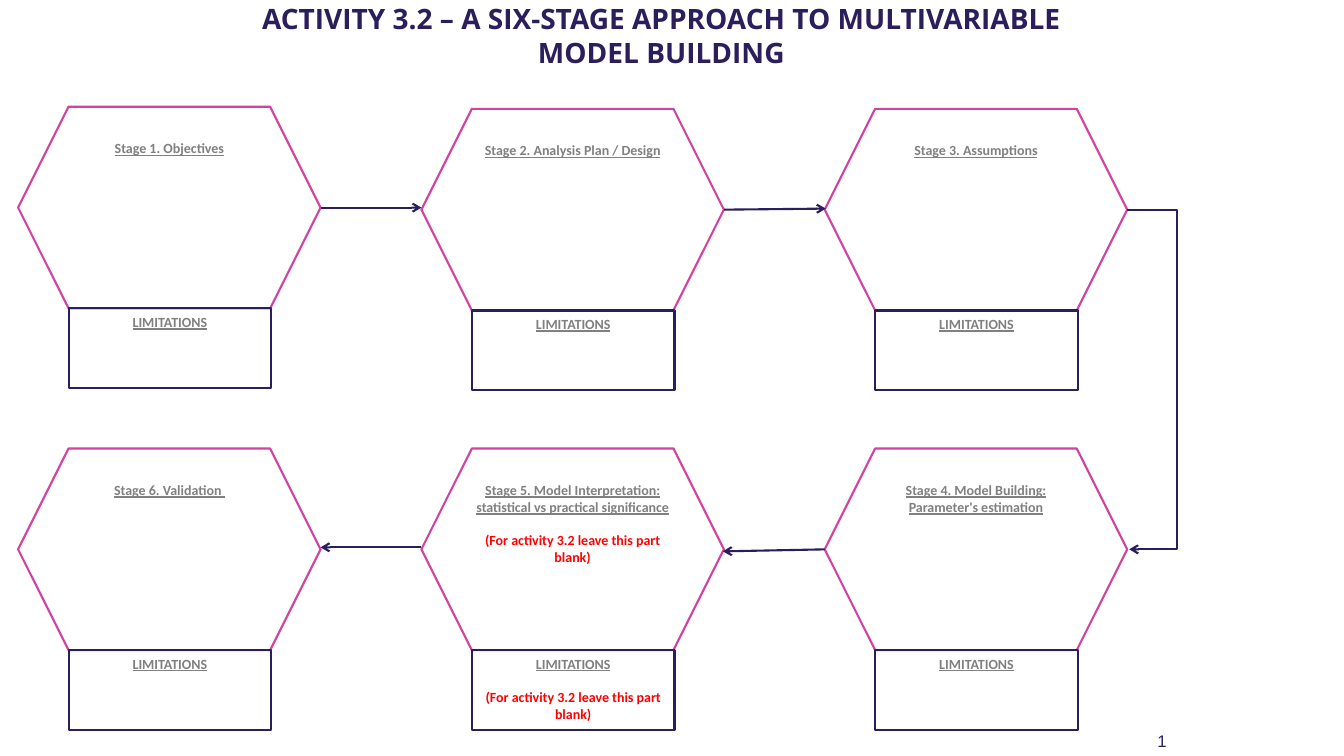
"""Build the six-stage multivariable model building slide."""
from dataclasses import dataclass

from lxml import etree
from pptx import Presentation
from pptx import util as u
from pptx.dml.color import RGBColor
from pptx.enum import shapes, text
from pptx.oxml.ns import qn

EMU_PER_PX = 9144


@dataclass(frozen=True)
class Theme:
    navy: RGBColor = RGBColor(0x2B, 0x1E, 0x5C)
    pink: RGBColor = RGBColor(0xD1, 0x42, 0xA2)
    grey: RGBColor = RGBColor(0x80, 0x80, 0x80)
    red: RGBColor = RGBColor(0xFF, 0x00, 0x00)
    title_font: str = "Open Sans"
    body_font: str = "Calibri"
    number_font: str = "Arial"
    title_size: int = 20
    body_size: int = 10
    number_size: int = 12
    note_gap: int = 12
    line_width: float = 1.5


@dataclass(frozen=True)
class Box:
    left: int
    top: int
    width: int
    height: int


@dataclass(frozen=True)
class Stage:
    heading: str
    left: int
    top: int
    note: str = ""


@dataclass(frozen=True)
class Arrow:
    start: tuple[int, int]
    end: tuple[int, int]
    bend_x: int | None = None


THEME = Theme()
HEXAGON_WIDTH, HEXAGON_HEIGHT = 300, 200
LIMITS_INDENT, LIMITS_WIDTH, LIMITS_HEIGHT = 50, 201, 79
COLUMNS = (18, 418, 818)
LOWER_ROW = 445
BLANK_NOTE = "(For activity 3.2 leave this part blank)"

STAGES = (
    Stage("Stage 1. Objectives", COLUMNS[0], 106),
    Stage("Stage 2. Analysis Plan / Design", COLUMNS[1], 108),
    Stage("Stage 3. Assumptions", COLUMNS[2], 108),
    Stage("Stage 4. Model Building: Parameter's estimation", COLUMNS[2], LOWER_ROW),
    Stage("Stage 5. Model Interpretation: statistical vs practical significance",
          COLUMNS[1], LOWER_ROW, BLANK_NOTE),
    Stage("Stage 6. Validation ", COLUMNS[0], LOWER_ROW),
)
ARROWS = (
    Arrow((318, 206), (418, 206)),
    Arrow((718, 208), (819, 207)),
    Arrow((1118, 208), (1120, 545), bend_x=1167),
    Arrow((818, 545), (717, 547)),
    Arrow((418, 543), (318, 543)),
)


def px(length: int) -> u.Emu:
    """Turn px into EMU."""
    return u.Emu(length * EMU_PER_PX)


def style_font(font, name: str, size: int, color: RGBColor, bold: bool = False) -> None:
    """Set typeface, size, colour and weight."""
    font.name = name
    font.size = u.Pt(size)
    font.color.rgb = color
    font.bold = bold


def add_label(slide, box: Box, content: str, alignment, margins: tuple[int, int]):
    """Add a wrapped, vertically centred text box and return its paragraph."""
    shape = slide.shapes.add_textbox(px(box.left), px(box.top), px(box.width), px(box.height))
    frame = shape.text_frame
    frame.word_wrap = True
    frame.vertical_anchor = text.MSO_ANCHOR.MIDDLE
    frame.margin_left = frame.margin_right = px(margins[0])
    frame.margin_top = frame.margin_bottom = px(margins[1])
    paragraph = frame.paragraphs[0]
    paragraph.text = content
    paragraph.alignment = alignment
    return paragraph


def add_panel(slide, kind, box: Box, color: RGBColor, heading: str, note: str) -> None:
    """Add an outlined shape with an underlined heading and an optional red note."""
    shape = slide.shapes.add_shape(kind, px(box.left), px(box.top), px(box.width), px(box.height))
    shape.shadow.inherit = False
    shape.fill.background()
    shape.line.color.rgb = color
    shape.line.width = u.Pt(THEME.line_width)
    frame = shape.text_frame
    frame.word_wrap = True
    frame.vertical_anchor = text.MSO_ANCHOR.TOP
    paragraph = frame.paragraphs[0]
    paragraph.text = heading
    paragraph.alignment = text.PP_ALIGN.CENTER
    style_font(paragraph.font, THEME.body_font, THEME.body_size, THEME.grey, bold=True)
    paragraph.font.underline = True
    if note:
        paragraph = frame.add_paragraph()
        paragraph.text = note
        paragraph.alignment = text.PP_ALIGN.CENTER
        paragraph.space_before = u.Pt(THEME.note_gap)
        style_font(paragraph.font, THEME.body_font, THEME.body_size, THEME.red, bold=True)


def add_stage(slide, stage: Stage) -> None:
    """Add a stage hexagon with its limitations box underneath."""
    hexagon = Box(stage.left, stage.top, HEXAGON_WIDTH, HEXAGON_HEIGHT)
    limits = Box(stage.left + LIMITS_INDENT, stage.top + HEXAGON_HEIGHT,
                 LIMITS_WIDTH, LIMITS_HEIGHT)
    add_panel(slide, shapes.MSO_SHAPE.HEXAGON, hexagon, THEME.pink, stage.heading, stage.note)
    add_panel(slide, shapes.MSO_SHAPE.RECTANGLE, limits, THEME.navy, "LIMITATIONS", stage.note)


def add_arrow(slide, arrow: Arrow) -> None:
    """Add a straight or elbow connector with an open arrowhead at its end."""
    bent = arrow.bend_x is not None
    kind = shapes.MSO_CONNECTOR.ELBOW if bent else shapes.MSO_CONNECTOR.STRAIGHT
    connector = slide.shapes.add_connector(
        kind, *(px(value) for value in arrow.start + arrow.end))
    connector.line.color.rgb = THEME.navy
    connector.line.width = u.Pt(THEME.line_width)
    properties = connector.element.spPr
    etree.SubElement(connector.line._get_or_add_ln(), qn("a:tailEnd"), type="arrow")
    etree.SubElement(properties, qn("a:effectLst"))
    if bent:
        ratio = (arrow.bend_x - arrow.start[0]) / (arrow.end[0] - arrow.start[0])
        guides = properties.find(qn("a:prstGeom")).find(qn("a:avLst"))
        etree.SubElement(guides, qn("a:gd"), name="adj1", fmla=f"val {round(ratio * 100000)}")


def main() -> None:
    """Build and save the slide."""
    presentation = Presentation()
    presentation.slide_width, presentation.slide_height = px(1333), px(750)
    slide = presentation.slides.add_slide(presentation.slide_layouts[6])
    title = add_label(slide, Box(206, -17, 900, 104),
                      "ACTIVITY 3.2 – A SIX-STAGE APPROACH TO MULTIVARIABLE MODEL BUILDING",
                      text.PP_ALIGN.CENTER, (13, 7))
    style_font(title.font, THEME.title_font, THEME.title_size, THEME.navy, bold=True)
    number = add_label(slide, Box(942, 715, 225, 40), "1", text.PP_ALIGN.RIGHT, (10, 5))
    style_font(number.font, THEME.number_font, THEME.number_size, THEME.navy)
    for stage in STAGES:
        add_stage(slide, stage)
    for arrow in ARROWS:
        add_arrow(slide, arrow)
    presentation.save("out.pptx")


if __name__ == "__main__":
    main()
